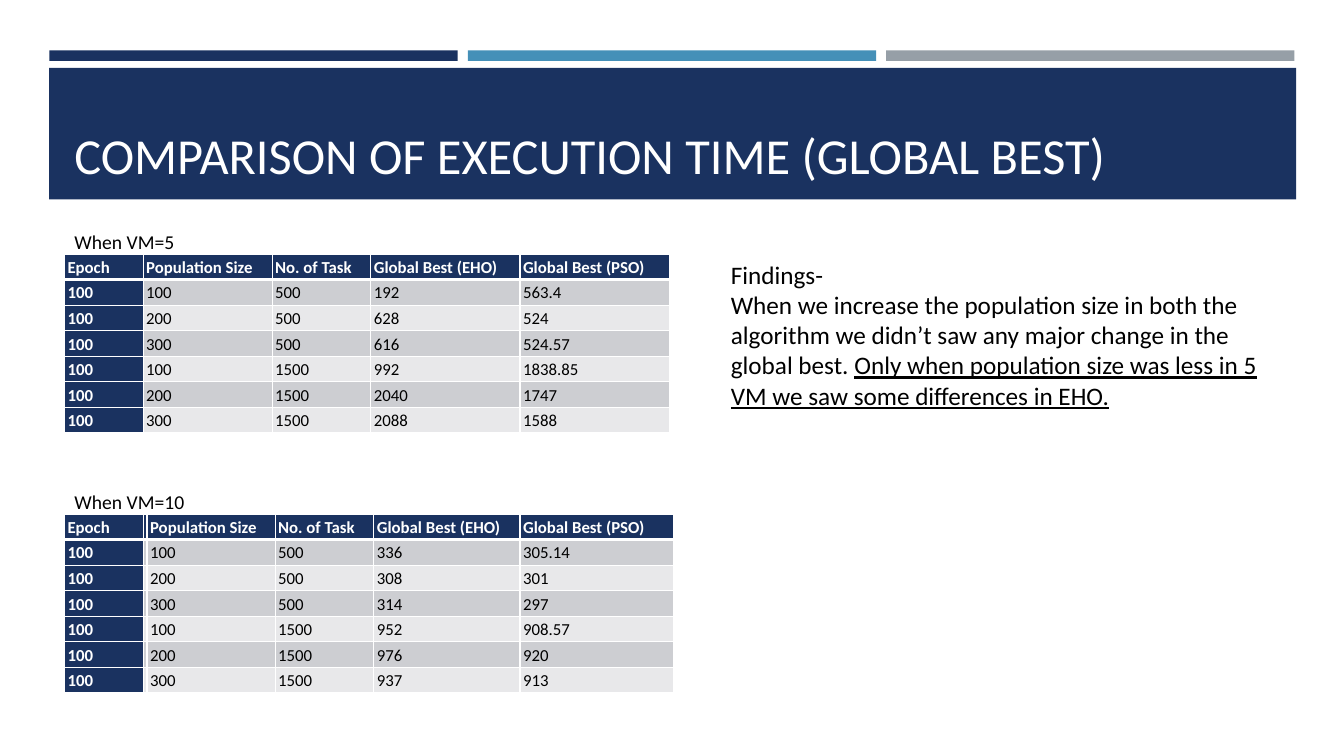
from itertools import product

from lxml import etree
from pptx import Presentation
from pptx import util as u
from pptx.dml.color import RGBColor
from pptx.enum import shapes, text
from pptx.oxml.ns import qn

NAVY, BLUE, GREY = "1A3260", "4590B8", "969FA7"
WHITE, BLACK = "FFFFFF", "000000"
BANDS = "CDCED2", "E8E8EA"


def rgb(color):
    return RGBColor.from_string(color)


class Deck:
    """Holds the style and current slide; lengths are percentages of the slide's size."""

    font = "Calibri"

    def __init__(self):
        self.prs = Presentation()
        self.prs.slide_width, self.prs.slide_height = u.Inches(13.33), u.Inches(7.5)
        self.s = self.prs.slides.add_slide(self.prs.slide_layouts[6])

    def x(self, share):
        return round(self.prs.slide_width * share / 100)

    def y(self, share):
        return round(self.prs.slide_height * share / 100)

    def box(self, x, y, w, h):
        return self.x(x), self.y(y), self.x(w), self.y(h)

    def style(self, p, size, color, bold=False):
        p.font.name, p.font.size = self.font, u.Pt(size)
        p.font.bold, p.font.color.rgb = bold, rgb(color)

    def bar(self, x, y, w, h, color):
        sp = self.s.shapes.add_shape(shapes.MSO_SHAPE.RECTANGLE, *self.box(x, y, w, h))
        sp.shadow.inherit = False
        sp.fill.solid()
        sp.fill.fore_color.rgb = rgb(color)
        sp.line.fill.background()

    def text(self, x, y, w, h, paragraphs, size, color=BLACK, anchor=text.MSO_ANCHOR.TOP):
        tf = self.s.shapes.add_textbox(*self.box(x, y, w, h)).text_frame
        tf.word_wrap, tf.vertical_anchor = True, anchor
        for i, runs in enumerate(paragraphs):
            p = tf.paragraphs[0] if i == 0 else tf.add_paragraph()
            self.style(p, size, color)
            for words, underline in runs:
                r = p.add_run()
                r.text = words
                if underline:
                    r.font.underline = True

    def cell(self, cell, words, fill, color, bold, bottom):
        tc_pr = cell._tc.get_or_add_tcPr()
        for side, width in zip("LRTB", (1, 1, 1, bottom)):
            ln = etree.SubElement(tc_pr, qn(f"a:ln{side}"), w=str(u.Pt(width)))
            solid = etree.SubElement(ln, qn("a:solidFill"))
            etree.SubElement(solid, qn("a:srgbClr"), val=WHITE)
        cell.fill.solid()
        cell.fill.fore_color.rgb = rgb(fill)
        cell.vertical_anchor = text.MSO_ANCHOR.BOTTOM
        cell.margin_left = cell.margin_right = u.Inches(0.03 if words else 0)
        cell.margin_top = cell.margin_bottom = u.Inches(0.02)
        p = cell.text_frame.paragraphs[0]
        p.text = words
        p.alignment = text.PP_ALIGN.JUSTIFY
        p.line_spacing, p.space_after = 1.07, u.Pt(8)
        self.style(p, 12, color, bold)

    def table(self, x, y, widths, row_height, rows):
        frame = self.s.shapes.add_table(
            len(rows), len(widths), *self.box(x, y, sum(widths), row_height * len(rows)))
        tbl = frame.table
        tbl.first_row = tbl.horz_banding = False
        for column, width in zip(tbl.columns, widths):
            column.width = self.x(width)
        for i, row in enumerate(rows):
            tbl.rows[i].height = self.y(row_height)
            for j, words in enumerate(row):
                head = i == 0 or j == 0
                self.cell(tbl.cell(i, j), words, NAVY if head else BANDS[(i - 1) % 2],
                          WHITE if head else BLACK, head, 3 if i == 0 else 1)


def result_rows(eho, pso, spacer):
    gap = [""] * spacer
    rows = [["Epoch", *gap, "Population Size", "No. of Task",
             "Global Best (EHO)", "Global Best (PSO)"]]
    settings = product(("500", "1500"), ("100", "200", "300"))
    for (tasks, population), e, g in zip(settings, eho.split(), pso.split()):
        rows.append(["100", *gap, population, tasks, e, g])
    return rows


def main():
    deck = Deck()
    for i, color in enumerate((NAVY, BLUE, GREY)):
        deck.bar(3.68 + i * 31.13, 6.67, 30.38, 1.4, color)
    deck.bar(3.65, 8.99, 92.8, 17.4, NAVY)
    deck.text(4.8, 10.27, 90.47, 14.8, [[("COMPARISON OF EXECUTION TIME (GLOBAL BEST)", False)]],
              36, WHITE, text.MSO_ANCHOR.BOTTOM)

    results = [
        ("When VM=5", 9.9, [5.85, 9.6, 7.35, 11.1, 11.1],
         result_rows("192 628 616 992 2040 2088", "563.4 524 524.57 1838.85 1747 1588", 0)),
        ("When VM=10", 50, [5.85, 0.23, 9.53, 7.35, 10.88, 11.4],
         result_rows("336 308 314 952 976 937", "305.14 301 297 908.57 920 913", 1)),
    ]
    for i, (caption, width, columns, rows) in enumerate(results):
        top = 29.73 + i * 34.4
        deck.table(4.8, top + 3.87, columns, 2.93, rows)
        deck.text(4.8, top, width, 4.53, [[(caption, False)]], 14)

    deck.text(53.64, 33.6, 42.76, 25.6, [
        [("Findings-", False)],
        [("When we increase the population size in both the algorithm we didn’t saw "
          "any major change in the global best. ", False),
         ("Only when population size was less in 5 VM we saw some differences in EHO.", True)],
    ], 18)
    deck.prs.save("out.pptx")


if __name__ == "__main__":
    main()
